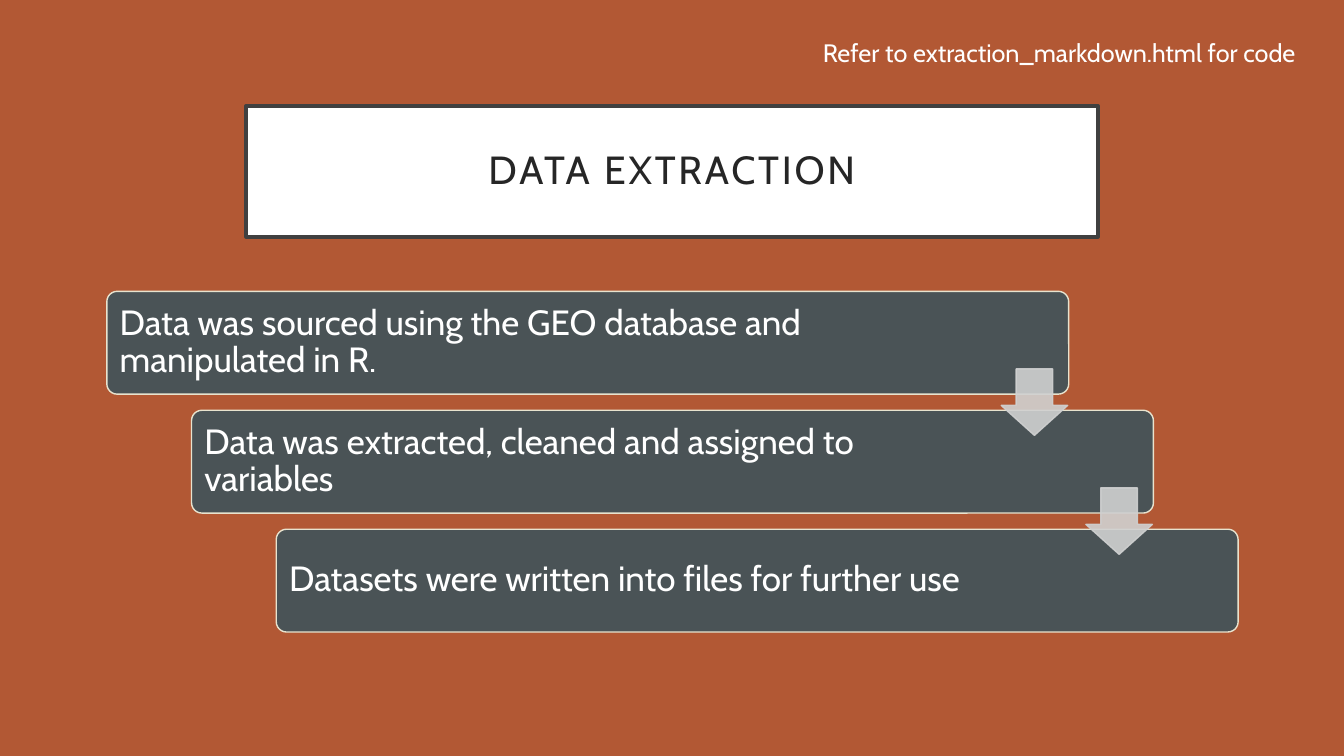
"""Build the Data Extraction slide with three staggered steps."""
from dataclasses import dataclass

from lxml import etree
from pptx import Presentation
from pptx.dml.color import RGBColor
from pptx.enum import shapes, text
from pptx.oxml import ns
from pptx.shapes.autoshape import Shape
from pptx.slide import Slide
from pptx.text.text import TextFrame
from pptx.util import Inches, Pt

RUST = RGBColor(0xB2, 0x58, 0x34)
WHITE = RGBColor(0xFF, 0xFF, 0xFF)
CHARCOAL = RGBColor(0x40, 0x40, 0x40)
INK = RGBColor(0x26, 0x26, 0x26)
SLATE = RGBColor(0x4A, 0x53, 0x56)
CREAM = RGBColor(0xE8, 0xE3, 0xCE)
SILVER = RGBColor(0xD0, 0xD1, 0xD1)

FONT = "Cabin"
STEPS = (
    "Data was sourced using the GEO database and manipulated in R.",
    "Data was extracted, cleaned and assigned to variables",
    "Datasets were written into files for further use",
)
STEP_X, STEP_Y = 0.84, 1.18


@dataclass(frozen=True)
class Box:
    left: float
    top: float
    width: float
    height: float

    def stepped(self, index: int) -> "Box":
        return Box(self.left + index * STEP_X, self.top + index * STEP_Y, self.width, self.height)

    def lengths(self) -> tuple[Inches, ...]:
        return tuple(Inches(value) for value in (self.left, self.top, self.width, self.height))


CARD = Box(1.06, 2.89, 9.54, 1.02)
ARROW = Box(9.93, 3.66, 0.66, 0.66)
TITLE = Box(2.44, 1.05, 8.45, 1.3)
REFERENCE = Box(7.96, 0.32, 5.09, 0.4)


def paint(shape: Shape, fill: RGBColor, line: RGBColor, width: float) -> None:
    shape.fill.solid()
    shape.fill.fore_color.rgb = fill
    shape.line.color.rgb = line
    shape.line.width = Pt(width)


def write(frame: TextFrame, words: str, size: float, color: RGBColor,
          alignment: text.PP_ALIGN, spacing: float = 1.0) -> None:
    frame.text = words
    frame.word_wrap = True
    paragraph = frame.paragraphs[0]
    paragraph.alignment = alignment
    paragraph.line_spacing = spacing
    paragraph.font.name = FONT
    paragraph.font.size = Pt(size)
    paragraph.font.color.rgb = color


def set_insets(frame: TextFrame, inset: float, right: float) -> None:
    frame.margin_left = frame.margin_top = frame.margin_bottom = Inches(inset)
    frame.margin_right = Inches(right)
    frame.vertical_anchor = text.MSO_ANCHOR.MIDDLE


def add_preset(slide: Slide, preset: shapes.MSO_SHAPE, box: Box, *adjustments: float) -> Shape:
    shape = slide.shapes.add_shape(preset, *box.lengths())
    shape.shadow.inherit = False
    for index, value in enumerate(adjustments):
        shape.adjustments[index] = value
    return shape


def add_card(slide: Slide, box: Box, words: str) -> None:
    card = add_preset(slide, shapes.MSO_SHAPE.ROUNDED_RECTANGLE, box, 0.1)
    paint(card, SLATE, CREAM, 1)
    write(card.text_frame, words, 25, WHITE, text.PP_ALIGN.LEFT, 0.9)
    set_insets(card.text_frame, 0.1, 1.64)


def add_arrow(slide: Slide, box: Box) -> None:
    arrow = add_preset(slide, shapes.MSO_SHAPE.DOWN_ARROW, box, 0.55, 0.45)
    paint(arrow, SILVER, SILVER, 1)
    for color in arrow.element.spPr.iter(ns.qn("a:srgbClr")):
        etree.SubElement(color, ns.qn("a:alpha"), val="90000")


def format_title(title: Shape) -> None:
    title.left, title.top, title.width, title.height = TITLE.lengths()
    paint(title, WHITE, CHARCOAL, 2.5)
    write(title.text_frame, "DATA EXTRACTION", 28, INK, text.PP_ALIGN.CENTER, 0.9)
    set_insets(title.text_frame, 0.2, 0.2)
    title.text_frame.auto_size = text.MSO_AUTO_SIZE.NONE
    for properties in title.element.iter(ns.qn("a:defRPr")):
        properties.set("spc", "200")


def main() -> None:
    presentation = Presentation()
    presentation.slide_width, presentation.slide_height = Inches(13.33), Inches(7.5)
    slide = presentation.slides.add_slide(presentation.slide_layouts.get_by_name("Title Only"))
    slide.background.fill.solid()
    slide.background.fill.fore_color.rgb = RUST
    format_title(slide.shapes.title)
    for index, words in enumerate(STEPS):
        add_card(slide, CARD.stepped(index), words)
    for index in range(len(STEPS) - 1):
        add_arrow(slide, ARROW.stepped(index))
    reference = slide.shapes.add_textbox(*REFERENCE.lengths())
    write(reference.text_frame, "Refer to extraction_markdown.html for code", 18, WHITE,
          text.PP_ALIGN.CENTER)
    presentation.save("out.pptx")


main()
